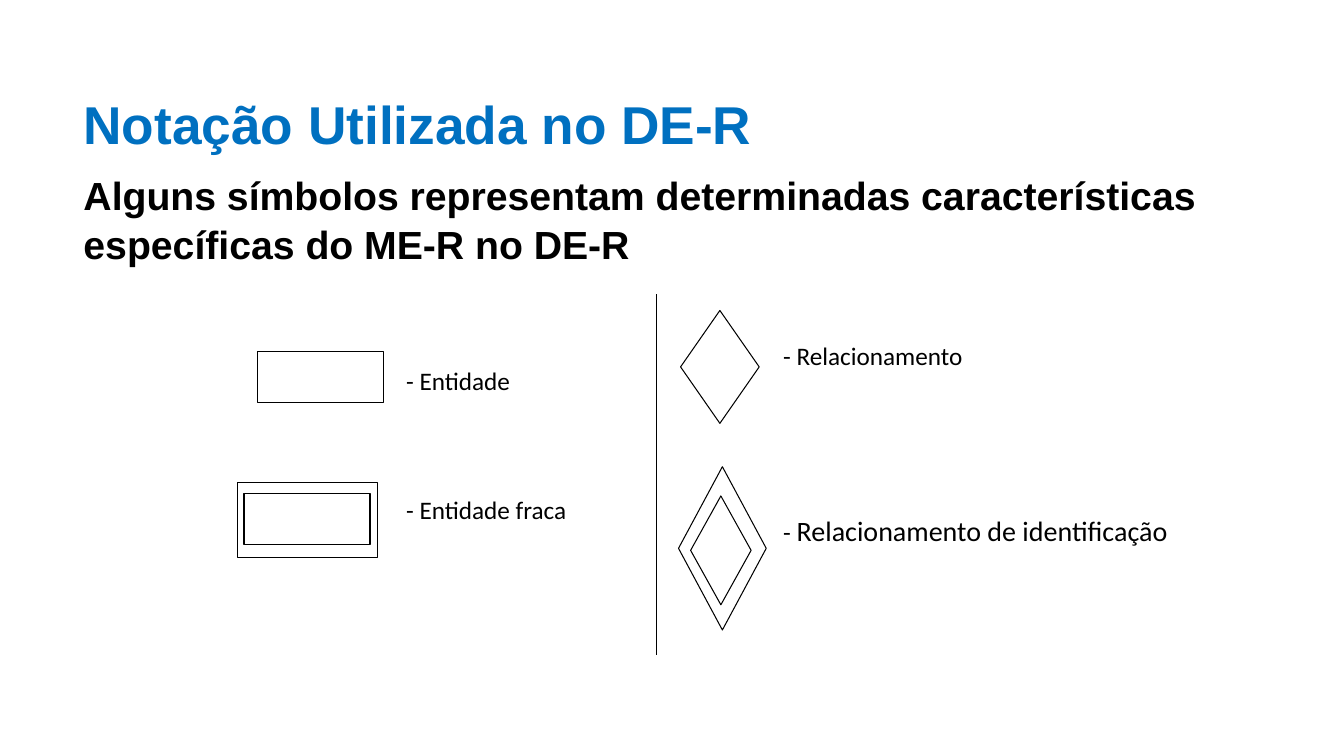
"""Build the slide on the notation used in entity-relationship diagrams."""
from lxml import etree
from pptx import Presentation
from pptx import util as u
from pptx.dml.color import RGBColor
from pptx.enum import shapes
from pptx.oxml.ns import qn

BLACK = RGBColor(0x00, 0x00, 0x00)
WHITE = RGBColor(0xFF, 0xFF, 0xFF)
BLUE = RGBColor(0x00, 0x70, 0xC0)

TITLE = {"name": "Arial", "size": u.Pt(38), "bold": True, "color": BLUE}
SUBTITLE = {**TITLE, "size": u.Pt(28), "color": BLACK}
LABEL = {"name": "Calibri", "size": u.Pt(18), "color": BLACK}
LARGE_LABEL = {**LABEL, "size": u.Pt(20)}

HEADING_AT = (0.73, 0.82, 11.5, 1.85)
HEADING = [
    [("Notação Utilizada no DE-R", TITLE)],
    [("Alguns símbolos representam determinadas características "
      "específicas do ME-R no DE-R", SUBTITLE)],
]

RECTANGLE = shapes.MSO_SHAPE.RECTANGLE
DIAMOND = shapes.MSO_SHAPE.DIAMOND
SYMBOLS = [
    (RECTANGLE, (2.55, 3.49, 1.25, 0.5)),
    (RECTANGLE, (2.36, 4.79, 1.38, 0.74)),
    (RECTANGLE, (2.42, 4.9, 1.25, 0.5)),
    (DIAMOND, (6.75, 3.08, 0.78, 1.12)),
    (DIAMOND, (6.73, 4.63, 0.87, 1.62)),
    (DIAMOND, (6.85, 4.92, 0.6, 1.08)),
]

LABELS = [
    ((3.93, 3.58, 2.33, 0.4), [("- Entidade", LABEL)]),
    ((3.93, 4.85, 2.33, 0.4), [("- Entidade fraca", LABEL)]),
    ((7.67, 3.33, 4.17, 0.4), [("- Relacionamento", LABEL)]),
    ((7.67, 5.05, 4.17, 0.43),
     [("- ", LABEL), ("Relacionamento de identificação", LARGE_LABEL)]),
]

DIVIDER = (6.51, 2.92, 6.51, 6.5)


def inches(values):
    return [u.Inches(value) for value in values]


def add_text(page, at, paragraphs, line_spacing=1.0):
    frame = page.shapes.add_textbox(*inches(at)).text_frame
    frame.word_wrap = True
    for index, spans in enumerate(paragraphs):
        para = frame.add_paragraph() if index else frame.paragraphs[0]
        para.space_before = u.Pt(10 if index else 0)
        para.line_spacing = line_spacing
        for words, style in spans:
            span = para.add_run()
            span.text = words
            for key, value in style.items():
                if key == "color":
                    span.font.color.rgb = value
                else:
                    setattr(span.font, key, value)


def set_line(item):
    item.line.color.rgb = BLACK
    item.line.width = u.Pt(0.75)


def main():
    deck = Presentation()
    deck.slide_width, deck.slide_height = inches((13.33, 7.5))
    page = deck.slides.add_slide(deck.slide_layouts[6])

    add_text(page, HEADING_AT, HEADING, line_spacing=1.05)
    for kind, at in SYMBOLS:
        symbol = page.shapes.add_shape(kind, *inches(at))
        symbol.shadow.inherit = False
        symbol.fill.solid()
        symbol.fill.fore_color.rgb = WHITE
        set_line(symbol)
    for at, spans in LABELS:
        add_text(page, at, [spans])

    divider = page.shapes.add_connector(
        shapes.MSO_CONNECTOR.STRAIGHT, *inches(DIVIDER))
    set_line(divider)
    etree.SubElement(divider.element.spPr, qn("a:effectLst"))

    deck.save("out.pptx")


if __name__ == "__main__":
    main()
